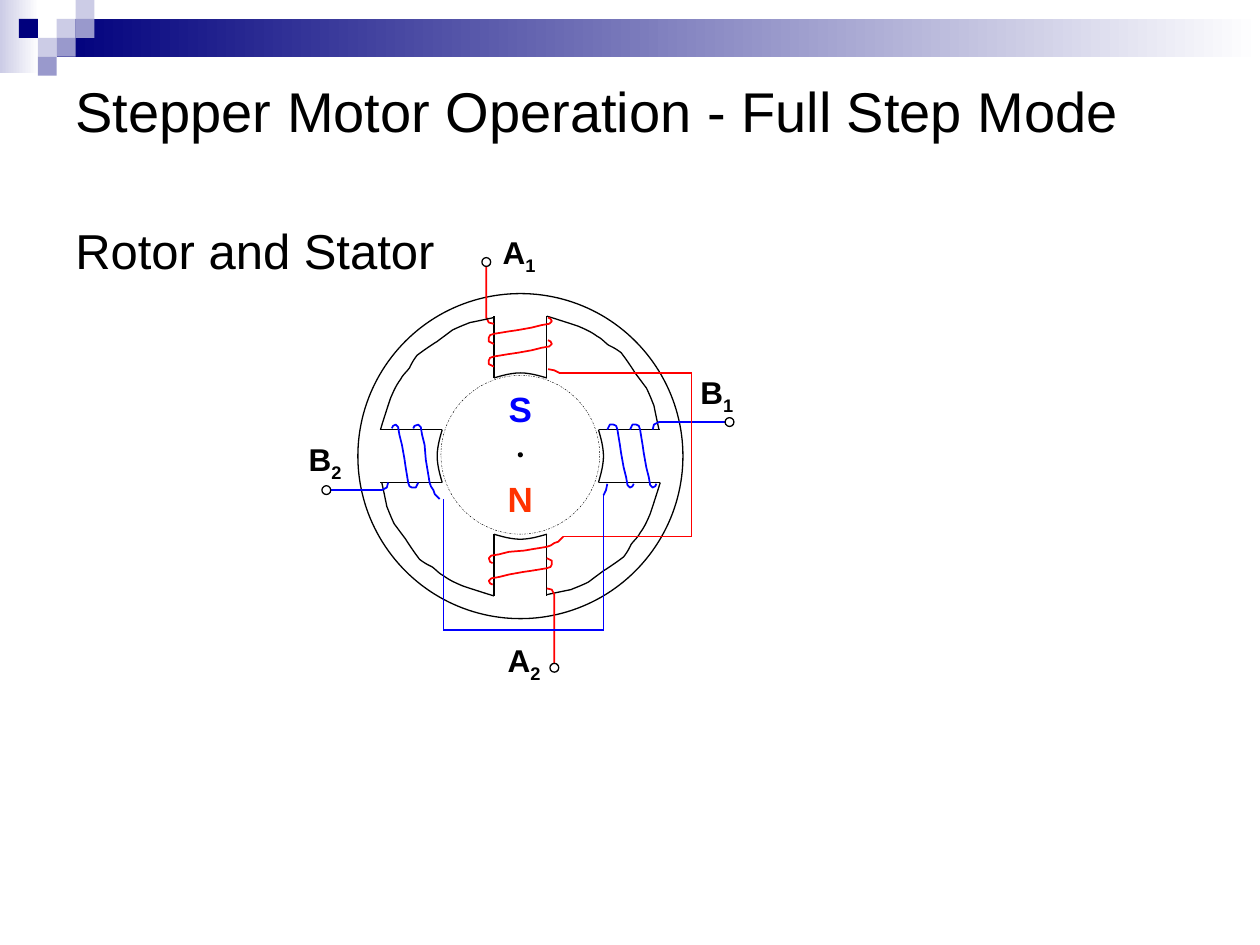
from itertools import pairwise

from lxml.etree import SubElement
from pptx import Presentation
from pptx.dml.color import RGBColor
from pptx.enum.dml import MSO_LINE
from pptx.enum.shapes import MSO_CONNECTOR as CONNECTOR, MSO_SHAPE as SHAPE
from pptx.enum.text import MSO_ANCHOR as ANCHOR, MSO_AUTO_SIZE as AUTO_SIZE, PP_ALIGN as ALIGN
from pptx.oxml.ns import qn
from pptx.util import Inches, Pt

COLORS = {"black": "000000", "white": "FFFFFF", "navy": "00007D", "lavender": "CCCCE6",
          "violet": "9999CC", "red": "FF0000", "blue": "0000FF", "north": "FF3300"}

# Points of the upper pole, in inches from the motor centre
POLE_FACE = [(-.21, -.62), (-.14, -.64), (-.07, -.66), (0, -.66), (.07, -.66), (.14, -.64), (.21, -.62)]
SLOT = [(.21, -1.11), (.31, -1.08), (.4, -1.05), (.46, -1.03), (.53, -1), (.57, -.98), (.61, -.95),
        (.65, -.93), (.67, -.9), (.7, -.88), (.74, -.86), (.76, -.85), (.8, -.82),
        (.83, -.78), (.88, -.71), (.91, -.66), (.94, -.62), (.97, -.58), (1, -.54),
        (1.02, -.5), (1.04, -.45), (1.06, -.4), (1.07, -.35), (1.09, -.25), (1.1, -.21)]
TURN = [(-.21, 0), (-.25, -.02), (-.25, -.05), (-.24, -.07), (-.21, -.08), (-.09, -.1), (-.02, -.11),
        (.09, -.13), (.17, -.15), (.23, -.16), (.25, -.18), (.24, -.2), (.22, -.21)]
LEAD_END = [(-.27, -1.1), (-.26, -1.08), (-.25, -1.06), (-.21, -1.05)]
SHORT_TAIL = [(.22, -.69), (.27, -.68), (.31, -.66)]
LONG_TAIL = [(-.34, -.64), (-.3, -.68), (-.27, -.69), (-.24, -.71), (-.21, -.72), (-.09, -.74),
             (-.03, -.75), (.09, -.76), (.17, -.78), (.23, -.79), (.25, -.81), (.24, -.84), (.22, -.85)]

# Clockwise from the top: letter, digit, label offset, colour, lead reach, turn depths, tail
POLES = [("A", "1", (-.24, -1.82), "red", 1.54, (.89, .71), SHORT_TAIL),
         ("B", "1", (1.33, -.71), "blue", 1.66, (.87, .69), SHORT_TAIL),
         ("A", "2", (-.2, 1.42), "red", 1.68, (.81,), LONG_TAIL),
         ("B", "2", (-1.78, -.18), "blue", 1.54, (.81,), LONG_TAIL)]
PHASE_WIRES = {"red": [(.31, -.66), (1.36, -.66), (1.36, .64), (.34, .64)],
               "blue": [(.66, .31), (.66, 1.38), (-.61, 1.38), (-.61, .34)]}


def rgb(name):
    """Return a named colour."""
    return RGBColor.from_string(COLORS[name])


def write(frame, *pieces, size=18, color="black", bold=False, align=ALIGN.LEFT,
          anchor=ANCHOR.TOP, wrap=True):
    """Write text into a frame; every piece after the first is a subscript."""
    frame.word_wrap = wrap
    frame.auto_size = AUTO_SIZE.NONE
    frame.vertical_anchor = anchor
    paragraph = frame.paragraphs[0]
    paragraph.alignment = align
    for index, piece in enumerate(pieces):
        run = paragraph.add_run()
        run.text = piece
        font = run.font
        font.name, font.size, font.bold = "Arial", Pt(size), bold
        font.color.rgb = rgb(color)
        if index:
            font._element.set("baseline", "-25000")


def add_text(slide, left, top, width, height, *pieces, **style):
    """Add a text box."""
    box = slide.shapes.add_textbox(Inches(left), Inches(top), Inches(width), Inches(height))
    write(box.text_frame, *pieces, **style)


def add_preset(slide, kind, left, top, width, height, fill=None, line=None, weight=.75):
    """Add a preset shape; a pair of fill colours makes a gradient to the right."""
    shape = slide.shapes.add_shape(kind, Inches(left), Inches(top), Inches(width), Inches(height))
    shape.shadow.inherit = False
    if isinstance(fill, tuple):
        shape.fill.gradient()
        shape.fill.gradient_angle = 0
        for stop, color, position in zip(shape.fill.gradient_stops, fill, (0, 1)):
            stop.color.rgb, stop.position = rgb(color), position
    elif fill:
        shape.fill.solid()
        shape.fill.fore_color.rgb = rgb(fill)
    else:
        shape.fill.background()
    if line:
        shape.line.color.rgb, shape.line.width = rgb(line), Pt(weight)
    else:
        shape.line.fill.background()
    return shape


def add_circle(slide, center, radius, **style):
    """Add a circle about a centre."""
    x, y = center
    return add_preset(slide, SHAPE.OVAL, x - radius, y - radius, 2 * radius, 2 * radius, **style)


def add_line(slide, start, end, color="black"):
    """Add a thin straight line."""
    line = slide.shapes.add_connector(CONNECTOR.STRAIGHT, *map(Inches, (*start, *end)))
    line.line.color.rgb, line.line.width = rgb(color), Pt(.75)
    SubElement(line._element.spPr, qn("a:effectLst"))


def add_outline(slide, points, color="black", weight=.75):
    """Add an open unfilled outline."""
    corners = [(Inches(x), Inches(y)) for x, y in points]
    builder = slide.shapes.build_freeform(*corners[0])
    builder.add_line_segments(corners[1:], close=False)
    outline = builder.convert_to_shape()
    outline.shadow.inherit = False
    outline.fill.background()
    outline.line.color.rgb, outline.line.width = rgb(color), Pt(weight)


def smooth(points, steps=6):
    """Sample a chain of cubic Bezier curves."""
    samples = [points[0]]
    for first in range(0, len(points) - 1, 3):
        for step in range(1, steps + 1):
            t = step / steps
            weights = ((1 - t) ** 3, 3 * t * (1 - t) ** 2, 3 * t * t * (1 - t), t ** 3)
            curve = points[first:first + 4]
            samples.append(tuple(sum(w * p[axis] for w, p in zip(weights, curve)) for axis in (0, 1)))
    return samples


def turned(points, quarters, center):
    """Turn points clockwise by quarters and move them to the centre."""
    for _ in range(quarters):
        points = [(-y, x) for x, y in points]
    return [(center[0] + x, center[1] + y) for x, y in points]


def draw_pole(slide, center, quarters, pole):
    """Draw one stator pole with its slot, coil, terminal and label."""
    letter, digit, (dx, dy), color, reach, depths, tail = pole
    for side in (-.21, .21):
        add_line(slide, *turned([(side, -1.11), (side, -.62)], quarters, center))
    for edge in (POLE_FACE, SLOT):
        add_outline(slide, turned(smooth(edge), quarters, center))
    terminal = (-.27, -reach)
    turns = [[(x, y - depth) for x, y in TURN] for depth in depths]
    for wire in (*turns, [terminal, *LEAD_END], tail):
        add_outline(slide, turned(wire, quarters, center), color, 1)
    add_circle(slide, turned([terminal], quarters, center)[0], .035, fill="white", line="black")
    add_text(slide, center[0] + dx, center[1] + dy, .58, .41, letter, digit, bold=True)


def draw_motor(slide, left, top, size):
    """Draw the stator, its wiring and the rotor; the box bounds the housing."""
    center = x, y = left + size / 2, top + size / 2
    add_circle(slide, center, size / 2, fill="white", line="black")
    for quarters, pole in enumerate(POLES):
        draw_pole(slide, center, quarters, pole)
    for color, corners in PHASE_WIRES.items():
        for start, end in pairwise(turned(corners, 0, center)):
            add_line(slide, start, end, color)
    add_circle(slide, (x, y - .01), .015, fill="black", line="black")
    rotor = add_circle(slide, (x, y - .01), .63, line="black", weight=.25)
    rotor.line.dash_style = MSO_LINE.DASH_DOT
    for letter, dy, color in (("N", .12, "north"), ("S", -.59, "blue")):
        add_text(slide, x - .2, y + dy, .4, .43, letter, size=20, color=color, bold=True,
                 align=ALIGN.CENTER, wrap=False)


def draw_banner(slide, left, top, width):
    """Draw the gradient bar and the small squares at the top."""
    add_preset(slide, SHAPE.RECTANGLE, left, top, .31, .58, fill=("lavender", "white"))
    add_preset(slide, SHAPE.RECTANGLE, left + .45, top + .15, width - .45, .3, fill=("navy", "white"))
    squares = [(3, 1, "lavender"), (4, 0, "lavender"), (4, 1, "violet"), (2, 2, "lavender"),
               (1, 1, "navy"), (3, 2, "violet"), (2, 3, "violet")]
    for column, row, color in squares:
        add_preset(slide, SHAPE.RECTANGLE, left + .15 * column, top + .15 * row, .15, .15, fill=color)


def place_title(slide, left, top, width, height):
    """Place the slide title."""
    title = slide.shapes.title
    title.left, title.top, title.width, title.height = map(Inches, (left, top, width, height))
    write(title.text_frame, "Stepper Motor Operation - Full Step Mode", size=32, anchor=ANCHOR.MIDDLE)


def main():
    """Build the slide."""
    deck = Presentation()
    deck.slide_width, deck.slide_height = Inches(10), Inches(7.5)
    slide = deck.slides.add_slide(deck.slide_layouts[5])
    draw_banner(slide, 0, 0, 10)
    draw_motor(slide, 2.84, 2.33, 2.58)
    place_title(slide, .5, .5, 9, .75)
    add_text(slide, .5, 1.7, 3.06, .57, "Rotor and Stator", size=28, wrap=False)
    deck.save("out.pptx")


main()
